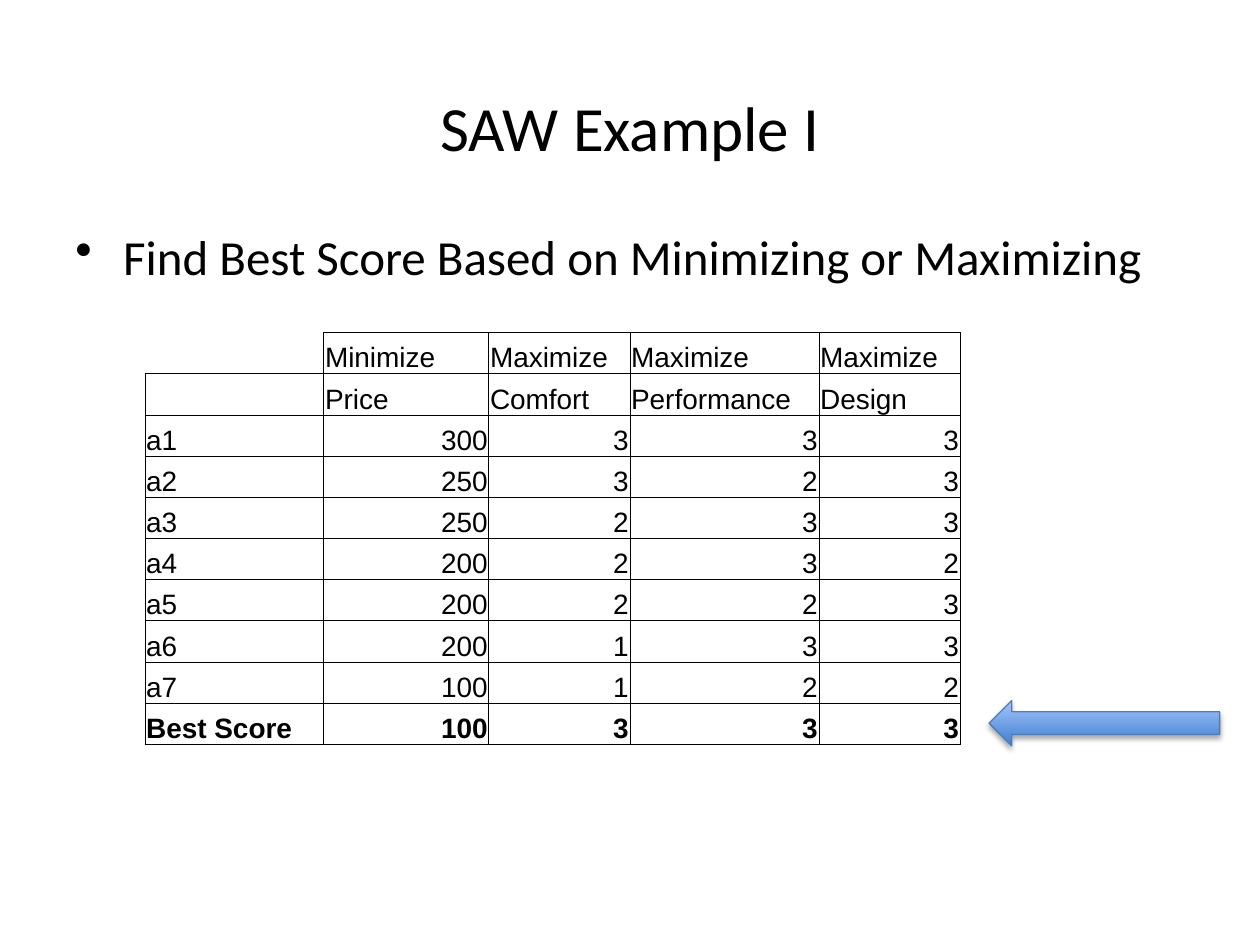
from lxml import etree
from pptx import Presentation
from pptx.dml.color import RGBColor
from pptx.enum.shapes import MSO_SHAPE
from pptx.enum.text import MSO_ANCHOR, PP_ALIGN
from pptx.oxml import parse_xml
from pptx.oxml.ns import nsdecls, qn
from pptx.util import Inches, Pt

LEFT, CENTER, RIGHT = PP_ALIGN.LEFT, PP_ALIGN.CENTER, PP_ALIGN.RIGHT
TOP, MIDDLE, BOTTOM = MSO_ANCHOR.TOP, MSO_ANCHOR.MIDDLE, MSO_ANCHOR.BOTTOM
LEFT_ARROW = MSO_SHAPE.LEFT_ARROW

BLACK = RGBColor(0x00, 0x00, 0x00)
ARROW_DARK = RGBColor(0x3F, 0x80, 0xCE)
ARROW_LIGHT = RGBColor(0xA4, 0xC4, 0xFF)
ARROW_LINE = RGBColor(0x4B, 0x7E, 0xBC)

TITLE = "SAW Example I"
BULLET = "Find Best Score Based on Minimizing or Maximizing"
HEADERS = [
    ["", "Minimize", "Maximize", "Maximize", "Maximize"],
    ["", "Price", "Comfort", "Performance", "Design"],
]
SCORES = [
    ["a1", 300, 3, 3, 3],
    ["a2", 250, 3, 2, 3],
    ["a3", 250, 2, 3, 3],
    ["a4", 200, 2, 3, 2],
    ["a5", 200, 2, 2, 3],
    ["a6", 200, 1, 3, 3],
    ["a7", 100, 1, 2, 2],
    ["Best Score", 100, 3, 3, 3],
]
COL_WIDTHS = [1.42, 1.31, 1.12, 1.5, 1.12]
TABLE_LEFT, TABLE_TOP, TABLE_HEIGHT = 1.15, 2.64, 3.27


def style(p, size, font, align=LEFT, bold=False):
    p.alignment = align
    p.font.size = Pt(size)
    p.font.name = font
    p.font.bold = bold
    p.font.color.rgb = BLACK


def add_text(s, text, box, size, anchor, align):
    tf = s.shapes.add_textbox(*map(Inches, box)).text_frame
    tf.word_wrap = True
    tf.vertical_anchor = anchor
    p = tf.paragraphs[0]
    p.text = text
    style(p, size, "Calibri", align)
    return p


def add_bullet(p, indent):
    """Hang the paragraph behind a round bullet."""
    pPr = p._p.get_or_add_pPr()
    pPr.set("marL", str(Inches(indent)))
    pPr.set("indent", str(-Inches(indent)))
    p.space_before = Pt(5.6)
    bullet = parse_xml(f'<a:buChar {nsdecls("a")} char="•"/>')
    pPr.find(qn("a:defRPr")).addprevious(bullet)


def set_borders(cell, sides):
    """Draw thin black lines on the given sides, none on the others."""
    tcPr = cell._tc.get_or_add_tcPr()
    for i, side in enumerate("LRTB"):
        fill = f'<a:solidFill><a:srgbClr val="{BLACK}"/></a:solidFill>'
        if side not in sides:
            fill = "<a:noFill/>"
        tcPr.insert(i, parse_xml(
            f'<a:ln{side} {nsdecls("a")} w="{Pt(0.5)}">{fill}</a:ln{side}>'))


def add_score_table(s):
    rows = HEADERS + SCORES
    table = s.shapes.add_table(
        len(rows), len(COL_WIDTHS), Inches(TABLE_LEFT), Inches(TABLE_TOP),
        Inches(sum(COL_WIDTHS)), Inches(TABLE_HEIGHT)).table
    table.first_row = table.horz_banding = False
    for column, width in zip(table.columns, COL_WIDTHS):
        column.width = Inches(width)
    for r, values in enumerate(rows):
        for c, value in enumerate(values):
            cell = table.cell(r, c)
            cell.fill.background()
            cell.vertical_anchor = BOTTOM
            cell.margin_left = cell.margin_right = cell.margin_top = Inches(0.01)
            cell.margin_bottom = 0
            p = cell.text_frame.paragraphs[0]
            p.text = str(value)
            align = RIGHT if isinstance(value, int) else LEFT
            style(p, 16, "Arial", align, bold=r == len(rows) - 1)
            set_borders(cell, "RB" if r == c == 0 else "LRTB")


def add_arrow(s):
    sp = s.shapes.add_shape(
        LEFT_ARROW, Inches(7.85), Inches(5.56), Inches(1.83), Inches(0.36))
    sp.fill.gradient()
    sp.fill.gradient_angle = 90
    for stop, position, color in zip(
            sp.fill.gradient_stops, (0, 1), (ARROW_DARK, ARROW_LIGHT)):
        stop.position = position
        stop.color.rgb = color
    sp.line.color.rgb = ARROW_LINE
    sp.line.width = Pt(0.75)
    sp.shadow.inherit = False
    effects = sp._element.spPr.find(qn("a:effectLst"))
    shadow = etree.SubElement(
        effects, qn("a:outerShdw"), blurRad=str(Pt(3.1)), dist=str(Pt(1.8)),
        dir="5400000", rotWithShape="0")
    color = etree.SubElement(shadow, qn("a:srgbClr"), val=str(BLACK))
    etree.SubElement(color, qn("a:alpha"), val="35000")


def main():
    prs = Presentation()
    prs.slide_width, prs.slide_height = Inches(10), Inches(7.5)
    s = prs.slides.add_slide(prs.slide_layouts[6])
    add_text(s, TITLE, (0.5, 0.38, 9, 1.25), 36, MIDDLE, CENTER)
    add_bullet(add_text(s, BULLET, (0.5, 1.75, 9, 4.95), 28, TOP, LEFT), 0.38)
    add_score_table(s)
    add_arrow(s)
    prs.save("out.pptx")


if __name__ == "__main__":
    main()
